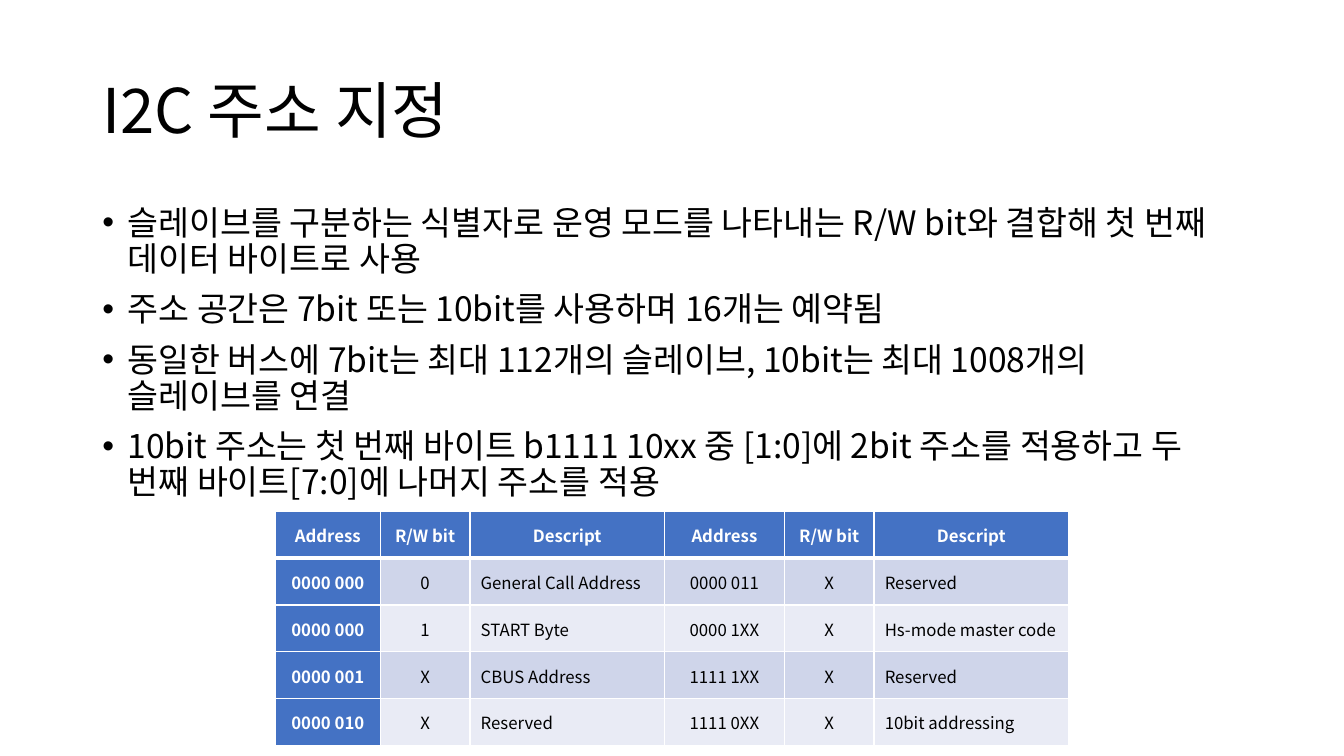
from lxml.etree import SubElement
from pptx import Presentation
from pptx.dml.color import RGBColor
from pptx.enum.text import MSO_ANCHOR as Anchor, MSO_AUTO_SIZE as AutoSize, PP_ALIGN as Align
from pptx.oxml.ns import qn
from pptx.util import Pt

FONT = "Noto Sans CJK KR"
BLACK, WHITE, BLUE = "000000", "FFFFFF", "4472C4"
BANDS = ("CFD5EA", "E9EBF5")
TITLE = "I2C 주소 지정"
BULLETS = [
    "슬레이브를 구분하는 식별자로 운영 모드를 나타내는 R/W bit와 결합해 첫 번째 데이터 바이트로 사용",
    "주소 공간은 7bit 또는 10bit를 사용하며 16개는 예약됨",
    "동일한 버스에 7bit는 최대 112개의 슬레이브, 10bit는 최대 1008개의 \n슬레이브를 연결",
    "10bit 주소는 첫 번째 바이트 b1111 10xx 중 [1:0]에 2bit 주소를 적용하고 "
    "두 번째 바이트[7:0]에 나머지 주소를 적용",
]
ADDRESSES = [
    ["Address", "R/W bit", "Descript"] * 2,
    ["0000 000", "0", "General Call Address", "0000 011", "X", "Reserved"],
    ["0000 000", "1", "START Byte", "0000 1XX", "X", "Hs-mode master code"],
    ["0000 001", "X", "CBUS Address", "1111 1XX", "X", "Reserved"],
    ["0000 010", "X", "Reserved", "1111 0XX", "X", "10bit addressing"],
]
COLUMN_SHARES = (75, 64, 139, 85.7, 64, 139)


def color(value):
    """Turn a hex string into a colour."""
    return RGBColor.from_string(value)


def add_run(paragraph, words, size, ink=BLACK, bold=False):
    """Add one formatted run for both Latin and Korean letters."""
    run = paragraph.add_run()
    run.text = words
    run.font.size = Pt(size)
    run.font.bold = bold
    run.font.color.rgb = color(ink)
    run.font.name = FONT
    SubElement(run.font._element, qn("a:ea"), typeface=FONT)


def place(placeholder, box, anchor):
    """Move a placeholder to its box and return its text frame."""
    placeholder.left, placeholder.top, placeholder.width, placeholder.height = map(Pt, box)
    frame = placeholder.text_frame
    frame.word_wrap = True
    frame.auto_size = AutoSize.NONE
    frame.vertical_anchor = anchor
    return frame


def fill_title(title, box):
    """Write the slide title."""
    heading = place(title, box, Anchor.MIDDLE).paragraphs[0]
    heading.alignment = Align.LEFT
    heading.line_spacing = 0.9
    add_run(heading, TITLE, 44)


def fill_bullets(body, box):
    """Write the bulleted facts on addressing."""
    frame = place(body, box, Anchor.TOP)
    for index, fact in enumerate(BULLETS):
        bullet = frame.add_paragraph() if index else frame.paragraphs[0]
        bullet.line_spacing = 0.9
        bullet.space_before = Pt(10 if index else 0)
        properties = bullet._p.get_or_add_pPr()
        properties.set("marL", str(Pt(18)))
        properties.set("indent", str(-Pt(18)))
        for part, line in enumerate(fact.split("\n")):
            if part:
                bullet.add_line_break()
            add_run(bullet, line, 24)


def add_borders(cell, top, bottom):
    """Draw white borders around a cell."""
    properties = cell._tc.get_or_add_tcPr()
    for side, width in (("L", 1), ("R", 1), ("T", top), ("B", bottom)):
        border = SubElement(properties, qn(f"a:ln{side}"), w=str(Pt(width)))
        SubElement(SubElement(border, qn("a:solidFill")), qn("a:srgbClr"), val=WHITE)


def fill_cell(cell, words, row, column):
    """Write and format one cell of the address table."""
    strong = row == 0 or column == 0
    add_borders(cell, 3 if row == 1 else 1, 3 if row == 0 else 1)
    cell.fill.solid()
    cell.fill.fore_color.rgb = color(BLUE if strong else BANDS[(row - 1) % 2])
    cell.margin_left = cell.margin_right = Pt(7.7)
    cell.margin_top = cell.margin_bottom = Pt(0)
    cell.vertical_anchor = Anchor.MIDDLE
    entry = cell.text_frame.paragraphs[0]
    entry.alignment = Align.LEFT if row and column % 3 == 2 else Align.CENTER
    entry.line_spacing = 1.07
    add_run(entry, words, 12, WHITE if strong else BLACK, strong)


def add_address_table(slide, box):
    """Add the table of reserved addresses."""
    width, height = box[2:]
    table = slide.shapes.add_table(len(ADDRESSES), len(COLUMN_SHARES), *map(Pt, box)).table
    table.first_col = True
    for column, share in zip(table.columns, COLUMN_SHARES):
        column.width = Pt(width * share / sum(COLUMN_SHARES))
    for row, entries in enumerate(ADDRESSES):
        table.rows[row].height = Pt(height / len(ADDRESSES))
        for column, words in enumerate(entries):
            fill_cell(table.cell(row, column), words, row, column)


def main():
    """Build and save the slide."""
    deck = Presentation()
    deck.slide_width, deck.slide_height = Pt(960), Pt(540)
    slide = deck.slides.add_slide(deck.slide_layouts[1])
    fill_title(slide.shapes.title, (66, 28.75, 828, 104.4))
    fill_bullets(slide.placeholders[1], (66, 143.75, 828, 342.6))
    add_address_table(slide, (196.7, 365.3, 566.7, 167))
    deck.save("out.pptx")


if __name__ == "__main__":
    main()
